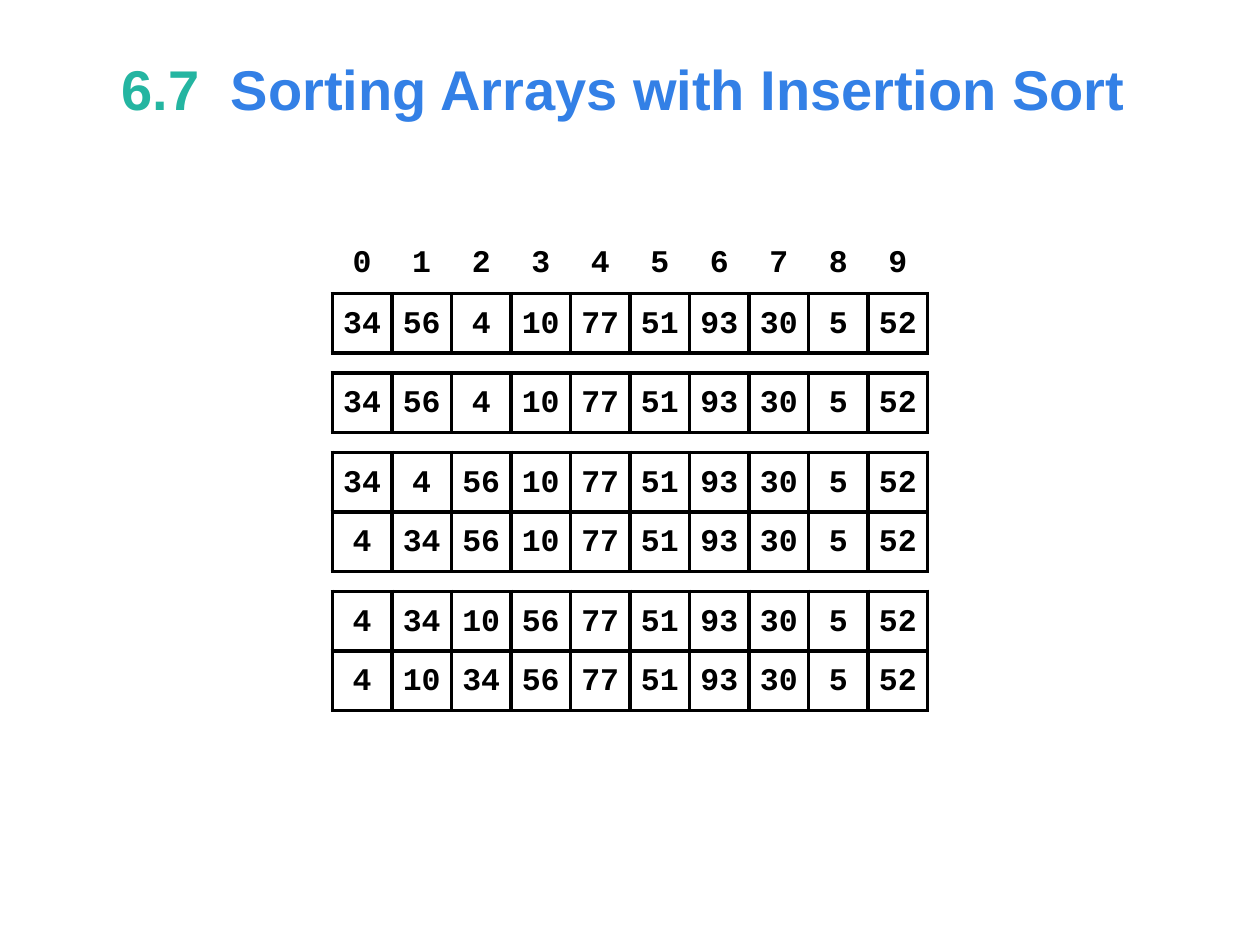
import pptx
import pptx.dml.color
import pptx.enum.text
import pptx.oxml
import pptx.oxml.ns
import pptx.util
from pptx.util import Cm

CELL = 1.2
GAP = 0.4
NO_STYLE = "{2D5ABB26-0587-4C30-8999-92F81FD0307C}"
INDEXES = range(10)
START = [34, 56, 4, 10, 77, 51, 93, 30, 5, 52]
PASSES = [
    [START],
    [[34, 4, 56, *START[3:]], [4, 34, 56, *START[3:]]],
    [[4, 34, 10, 56, *START[4:]], [4, 10, 34, 56, *START[4:]]],
]


def rgb(value):
    return pptx.dml.color.RGBColor.from_string(value)


def add_text(p, text, font="Courier New", size=18, color="000000", bold=True):
    r = p.add_run()
    r.text = text
    r.font.name = font
    r.font.size = pptx.util.Pt(size)
    r.font.bold = bold
    r.font.color.rgb = rgb(color)


def add_borders(cell, sides, color="000000", width=2.25):
    tc_pr = cell._tc.get_or_add_tcPr()
    for side in sides:
        tc_pr.append(pptx.oxml.parse_xml(
            f'<a:ln{side} {pptx.oxml.ns.nsdecls("a")} w="{pptx.util.Pt(width)}">'
            f'<a:solidFill><a:srgbClr val="{color}"/></a:solidFill></a:ln{side}>'))


def format_cell(cell, value, boxed):
    cell.margin_left = cell.margin_right = Cm(0.2)
    cell.margin_top = Cm(0.12)
    cell.margin_bottom = Cm(0.05 if boxed else 0.12)
    cell.vertical_anchor = pptx.enum.text.MSO_ANCHOR.MIDDLE
    add_borders(cell, "LRTB" if boxed else "B")
    if boxed:
        cell.fill.solid()
        cell.fill.fore_color.rgb = rgb("FFFFFF")
    else:
        cell.fill.background()
    p = cell.text_frame.paragraphs[0]
    p.alignment = pptx.enum.text.PP_ALIGN.CENTER
    add_text(p, str(value))


def add_array(s, left, top, rows, has_indexes=False):
    columns = len(rows[0])
    frame = s.shapes.add_table(len(rows), columns, Cm(left), Cm(top),
                               Cm(columns * CELL), Cm(len(rows) * CELL))
    table = frame.table
    table.first_row = table.horz_banding = False
    table._tbl.tblPr.find(pptx.oxml.ns.qn("a:tableStyleId")).text = NO_STYLE
    for column in table.columns:
        column.width = Cm(CELL)
    for i, row in enumerate(rows):
        table.rows[i].height = Cm(CELL)
        for j, value in enumerate(row):
            format_cell(table.cell(i, j), value, boxed=i > 0 or not has_indexes)


def add_sort_steps(s, left, top):
    add_array(s, left, top, [INDEXES, START], has_indexes=True)
    y = top + 2 * CELL
    for steps in PASSES:
        y += GAP
        for step in steps:
            add_array(s, left, y, [step])
            y += CELL


def set_title(s, left, top, width, height):
    sp = s.shapes.title
    sp.left, sp.top, sp.width, sp.height = map(Cm, (left, top, width, height))
    tf = sp.text_frame
    tf.word_wrap = True
    tf.vertical_anchor = pptx.enum.text.MSO_ANCHOR.MIDDLE
    p = tf.paragraphs[0]
    p.alignment = pptx.enum.text.PP_ALIGN.LEFT
    add_text(p, "6.7  ", font="Arial", size=32, color="24B5A1")
    add_text(p, "Sorting Arrays with Insertion Sort", font="Arial", size=32, color="3380E6")


def main():
    prs = pptx.Presentation()
    prs.slide_width, prs.slide_height = Cm(25.4), Cm(19.05)
    s = prs.slides.add_slide(prs.slide_layouts.get_by_name("Title Only"))
    set_title(s, 2.2, 0.53, 21, 2.5)
    add_sort_steps(s, 6.7, 4.72)
    prs.save("out.pptx")


if __name__ == "__main__":
    main()
